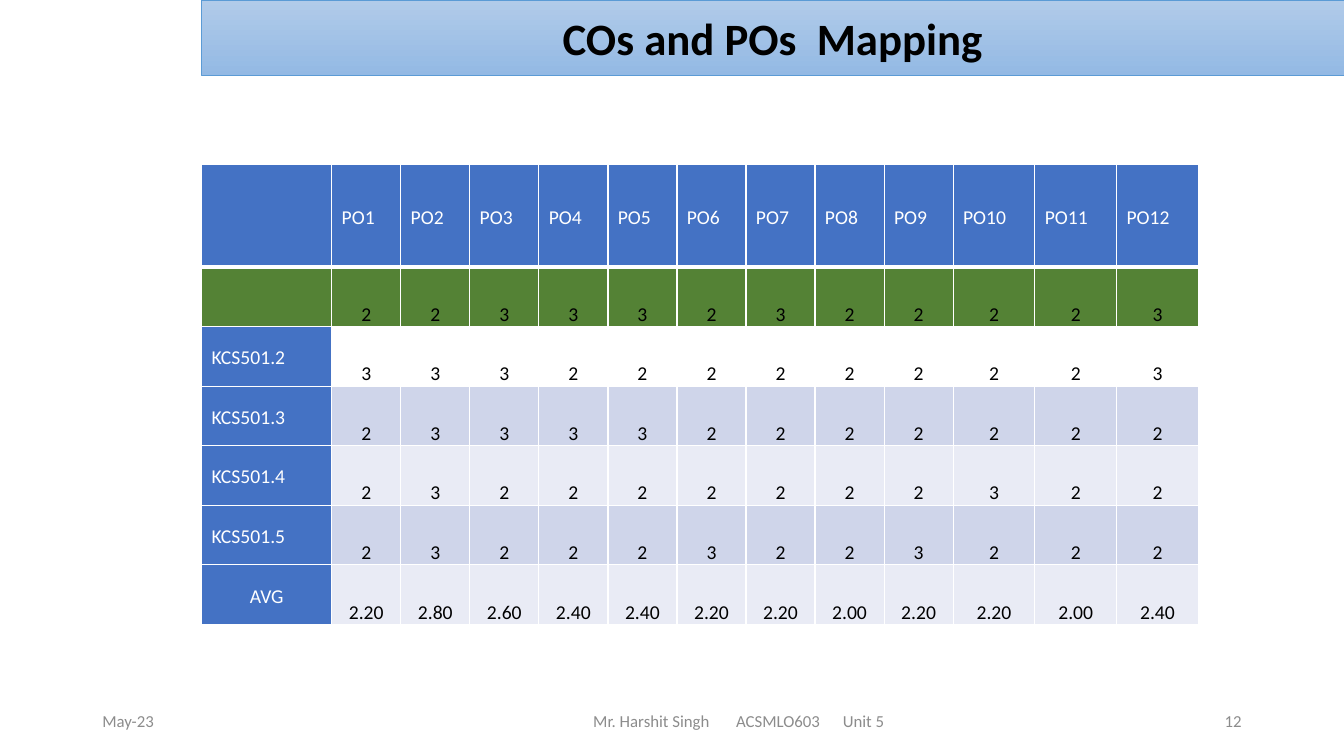
from lxml import etree
from pptx import Presentation
from pptx.dml.color import RGBColor
from pptx.enum.shapes import MSO_SHAPE
from pptx.enum.text import MSO_ANCHOR, PP_ALIGN
from pptx.oxml.ns import qn
from pptx.util import Cm, Pt

RECTANGLE = MSO_SHAPE.RECTANGLE
MIDDLE, BOTTOM = MSO_ANCHOR.MIDDLE, MSO_ANCHOR.BOTTOM
LEFT, CENTER, RIGHT = PP_ALIGN.LEFT, PP_ALIGN.CENTER, PP_ALIGN.RIGHT
JUSTIFY = PP_ALIGN.JUSTIFY

WHITE, BLACK, GREY = "FFFFFF", "000000", "8C8C8C"
BLUE, GREEN = "4472C4", "548235"
DARK_BAND, LIGHT_BAND = "CFD5EA", "E9EBF5"

# Outcome label, fill of the label, fill of the ratings, ratings for PO1 to PO12
OUTCOMES = [
    ("", GREEN, GREEN, [2, 2, 3, 3, 3, 2, 3, 2, 2, 2, 2, 3]),
    ("KCS501.2", BLUE, None, [3, 3, 3, 2, 2, 2, 2, 2, 2, 2, 2, 3]),
    ("KCS501.3", BLUE, DARK_BAND, [2, 3, 3, 3, 3, 2, 2, 2, 2, 2, 2, 2]),
    ("KCS501.4", BLUE, LIGHT_BAND, [2, 3, 2, 2, 2, 2, 2, 2, 2, 3, 2, 2]),
    ("KCS501.5", BLUE, DARK_BAND, [2, 3, 2, 2, 2, 3, 2, 2, 3, 2, 2, 2]),
]

HEADING = {"alignment": JUSTIFY, "line_spacing": 1.15}
LABEL = {"alignment": LEFT, "line_spacing": 1.15}
AVERAGE_LABEL = {"alignment": CENTER, "line_spacing": 1.15}
RATING = {"alignment": CENTER, "line_spacing": 1.15, "space_after": Pt(10)}


def rgb(value):
    return RGBColor.from_string(value)


def apply(target, values):
    for name, value in values.items():
        setattr(target, name, value)


class MappingSlide:
    font = "Calibri"

    def __init__(self, deck):
        self.slide = deck.slides.add_slide(deck.slide_layouts[6])

    def label(self, paragraph, text, size, color, layout, bold=False):
        paragraph.text = text
        apply(paragraph, layout)
        apply(paragraph.font, {"name": self.font, "size": Pt(size), "bold": bold})
        paragraph.font.color.rgb = rgb(color)

    def banner(self, text, box, colors, outline):
        banner = self.slide.shapes.add_shape(RECTANGLE, *map(Cm, box))
        banner.shadow.inherit = False
        banner.fill.gradient()
        banner.fill.gradient_angle = 270
        for stop, color in zip(banner.fill.gradient_stops, colors):
            stop.color.rgb = rgb(color)
        banner.line.color.rgb = rgb(outline)
        banner.line.width = Pt(0.5)
        banner.text_frame.vertical_anchor = MIDDLE
        self.label(banner.text_frame.paragraphs[0], text, 32, BLACK,
                   {"alignment": CENTER}, bold=True)

    def footer(self, text, box, alignment, inset=0.25, tabs=()):
        frame = self.slide.shapes.add_textbox(*map(Cm, box)).text_frame
        apply(frame, {"word_wrap": True, "vertical_anchor": MIDDLE,
                      "margin_left": Cm(inset)})
        paragraph = frame.paragraphs[0]
        if tabs:
            tab_list = etree.SubElement(paragraph._p.get_or_add_pPr(), qn("a:tabLst"))
            for position in tabs:
                etree.SubElement(tab_list, qn("a:tab"), pos=str(Cm(position)), algn="l")
        self.label(paragraph, text, 12, GREY, {"alignment": alignment})

    def table(self, corner, widths, heights):
        size = (sum(widths), sum(heights))
        table = self.slide.shapes.add_table(
            len(heights), len(widths), *map(Cm, corner + size)).table
        apply(table, {"first_row": False, "horz_banding": False})
        for column, width in zip(table.columns, widths):
            column.width = Cm(width)
        for row, height in zip(table.rows, heights):
            row.height = Cm(height)
        return table

    def cell(self, cell, text, fill, color, layout, anchor=MIDDLE, bottom_line=1):
        apply(cell, {"vertical_anchor": anchor, "margin_left": Cm(0.25),
                     "margin_right": Cm(0.25), "margin_top": 0, "margin_bottom": 0})
        # Borders come before the fill in the cell properties
        for side, width in zip("LRTB", (1, 1, 1, bottom_line)):
            line = etree.SubElement(cell._tc.get_or_add_tcPr(), qn("a:ln" + side),
                                    w=str(Pt(width)))
            solid = etree.SubElement(line, qn("a:solidFill"))
            etree.SubElement(solid, qn("a:srgbClr"), val=WHITE)
        if fill:
            cell.fill.solid()
            cell.fill.fore_color.rgb = rgb(fill)
        else:
            cell.fill.background()
        self.label(cell.text_frame.paragraphs[0], text, 14, color, layout)


def main():
    deck = Presentation()
    deck.slide_width, deck.slide_height = Cm(33.87), Cm(19.05)
    page = MappingSlide(deck)

    # Mapping table: heading row, outcomes, averages
    mapping = page.table((5.08, 4.14), [3.28] + [1.74] * 9 + [2.06] * 3,
                         [2.59] + [1.5] * 6)
    headings = [""] + [f"PO{number}" for number in range(1, 13)]
    for column, heading in enumerate(headings):
        page.cell(mapping.cell(0, column), heading, BLUE, WHITE, HEADING, bottom_line=3)

    ratings = [outcome[-1] for outcome in OUTCOMES]
    averages = [f"{sum(scores) / len(scores):.2f}" for scores in zip(*ratings)]
    rows = OUTCOMES + [("AVG", BLUE, LIGHT_BAND, averages)]
    for row, (outcome, outcome_fill, band, scores) in enumerate(rows, start=1):
        outcome_layout = AVERAGE_LABEL if outcome == "AVG" else LABEL
        page.cell(mapping.cell(row, 0), outcome, outcome_fill, WHITE, outcome_layout)
        for column, score in enumerate(scores, start=1):
            page.cell(mapping.cell(row, column), str(score), band, BLACK, RATING, BOTTOM)

    # Footer: date, course, page number
    page.footer("May-23", (2.33, 17.66, 7.62, 1.01), LEFT)
    page.footer("Mr. Harshit Singh\tACSMLO603\tUnit 5", (9.31, 17.66, 18.63, 1.01),
                LEFT, inset=5.64, tabs=(3.6, 6.29))
    page.footer("12", (23.92, 17.66, 7.62, 1.01), RIGHT)

    # Title banner
    page.banner("COs and POs  Mapping", (5.08, 0, 28.79, 1.91),
                ("B1CBE9", "93B9E4"), "5B9BD5")

    deck.save("out.pptx")


if __name__ == "__main__":
    main()
